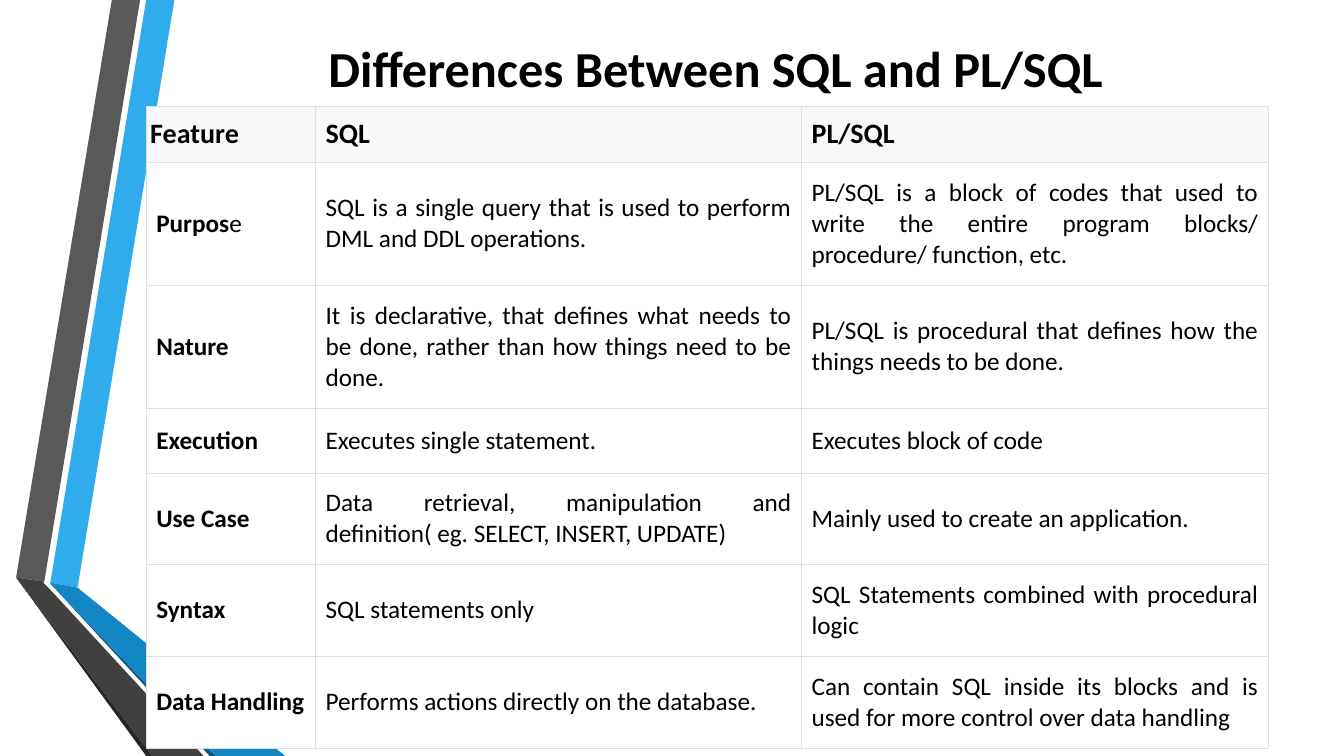
import pptx
import pptx.dml.color
import pptx.enum.text
import pptx.oxml
import pptx.oxml.ns
import pptx.util

PX = 9144  # EMU; 100 px to the inch
ALIGN = pptx.enum.text.PP_ALIGN
MIDDLE = pptx.enum.text.MSO_ANCHOR.MIDDLE

RIBBONS = [
    ("30ACEC", [(50, 578), (77, 583), (173, 0), (145, 0)]),
    ("595959", [(139, 0), (111, 0), (16, 573), (44, 577)]),
    ("262626", [(16, 573), (145, 750), (151, 750)]),
    ("0C5A82", [(50, 579), (208, 750), (214, 750)]),
    ("1287C3", [(50, 579), (214, 750), (283, 750), (77, 583), (50, 578)]),
    ("404040", [(202, 750), (48, 583), (43, 578), (44, 577), (16, 573), (151, 750)]),
]

COLUMNS = [168, 482, 463]
ROW_HEIGHTS = [56, 122, 122, 64, 91, 91, 91]
ROWS = [
    ("Feature", "SQL", "PL/SQL"),
    ("Purpose",
     "SQL is a single query that is used to perform DML and DDL operations.",
     "PL/SQL is a block of codes that used to write the entire program blocks/ procedure/ function, etc."),
    ("Nature",
     "It is declarative, that defines what needs to be done, rather than how things need to be done.",
     "PL/SQL is procedural that defines how the things needs to be done."),
    ("Execution", "Executes single statement.", "Executes block of code"),
    ("Use Case",
     "Data retrieval, manipulation and definition( eg. SELECT, INSERT, UPDATE)",
     "Mainly used to create an application."),
    ("Syntax", "SQL statements only", "SQL Statements combined with procedural logic"),
    ("Data Handling",
     "Performs actions directly on the database.",
     "Can contain SQL inside its blocks and is used for more control over data handling"),
]


def color(value):
    return pptx.dml.color.RGBColor.from_string(value)


def apply(target, values):
    for name, value in values.items():
        setattr(target, name, value)


class Page:
    font = "Calibri"
    ink = "000000"
    border = "DFDFDF"
    border_width = 2921  # EMU, 0.23 pt

    def __init__(self, deck):
        self.slide = deck.slides.add_slide(deck.slide_layouts[5])

    def add_span(self, para, text, size, bold, align):
        para.alignment = align
        span = para.add_run()
        span.text = text
        apply(span.font, {"name": self.font, "size": pptx.util.Pt(size), "bold": bold})
        span.font.color.rgb = color(self.ink)

    def title(self, text, left, top, width, height):
        box = self.slide.shapes.title
        apply(box, {"left": left * PX, "top": top * PX,
                    "width": width * PX, "height": height * PX})
        apply(box.text_frame, {"vertical_anchor": MIDDLE, "word_wrap": True,
                               "auto_size": pptx.enum.text.MSO_AUTO_SIZE.NONE})
        self.add_span(box.text_frame.paragraphs[0], text, 36, True, ALIGN.CENTER)

    def ribbon(self, fill, points):
        builder = self.slide.shapes.build_freeform(*points[0], scale=PX)
        builder.add_line_segments(points[1:], close=True)
        shape = builder.convert_to_shape()
        shape.shadow.inherit = False
        shape.fill.solid()
        shape.fill.fore_color.rgb = color(fill)
        shape.line.fill.background()

    def outline(self, cell):
        """Draw a thin border on all four sides of a cell."""
        properties = cell._tc.get_or_add_tcPr()
        for index, side in enumerate("LRTB"):
            properties.insert(index, pptx.oxml.parse_xml(
                f'<a:ln{side} {pptx.oxml.ns.nsdecls("a")} w="{self.border_width}">'
                f'<a:solidFill><a:srgbClr val="{self.border}"/></a:solidFill></a:ln{side}>'))

    def cell(self, cell, text, header, label):
        side = 4 if header and label else 10
        edge = 10 if header else 15
        apply(cell, {"margin_left": side * PX, "margin_right": 10 * PX,
                     "margin_top": edge * PX, "margin_bottom": edge * PX,
                     "vertical_anchor": MIDDLE})
        if header and label:
            cell.margin_right = side * PX
        cell.fill.solid()
        cell.fill.fore_color.rgb = color("F9F9F9" if header else "FFFFFF")
        self.outline(cell)
        para = cell.text_frame.paragraphs[0]
        if header or label:
            para.space_after = pptx.util.Pt(7.5)
        size = 20 if header else 18
        spans = [("Purpos", True), ("e", False)] if text == "Purpose" else [(text, header or label)]
        for words, bold in spans:
            self.add_span(para, words, size, bold, ALIGN.JUSTIFY)

    def table(self, left, top, columns, heights, rows):
        frame = self.slide.shapes.add_table(
            len(rows), len(columns), left * PX, top * PX,
            sum(columns) * PX, sum(heights) * PX)
        table = frame.table
        apply(table, {"first_row": False, "horz_banding": False})
        for column, width in zip(table.columns, columns):
            column.width = width * PX
        for row_index, (row, height, texts) in enumerate(zip(table.rows, heights, rows)):
            row.height = height * PX
            for column_index, text in enumerate(texts):
                self.cell(row.cells[column_index], text, row_index == 0, column_index == 0)
        for column_index in range(1, len(columns)):
            last = table.cell(len(rows) - 1, column_index)
            last.text_frame.paragraphs[0].space_after = pptx.util.Pt(7.5)


def main():
    deck = pptx.Presentation()
    apply(deck, {"slide_width": 1333 * PX, "slide_height": 750 * PX})
    page = Page(deck)
    for fill, points in RIBBONS:
        page.ribbon(fill, points)
    page.title("Differences Between SQL and PL/SQL", 162, 28, 1096, 77)
    page.table(145, 105, COLUMNS, ROW_HEIGHTS, ROWS)
    deck.save("out.pptx")


if __name__ == "__main__":
    main()
